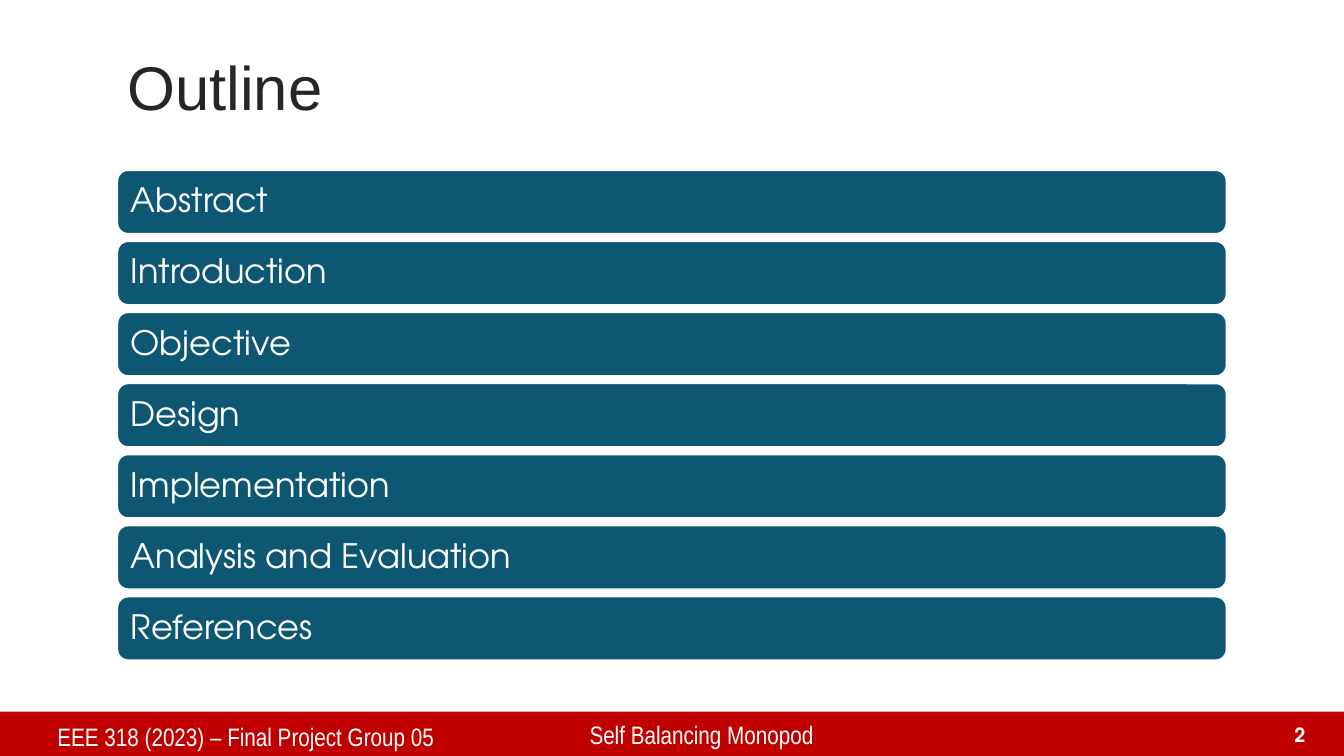
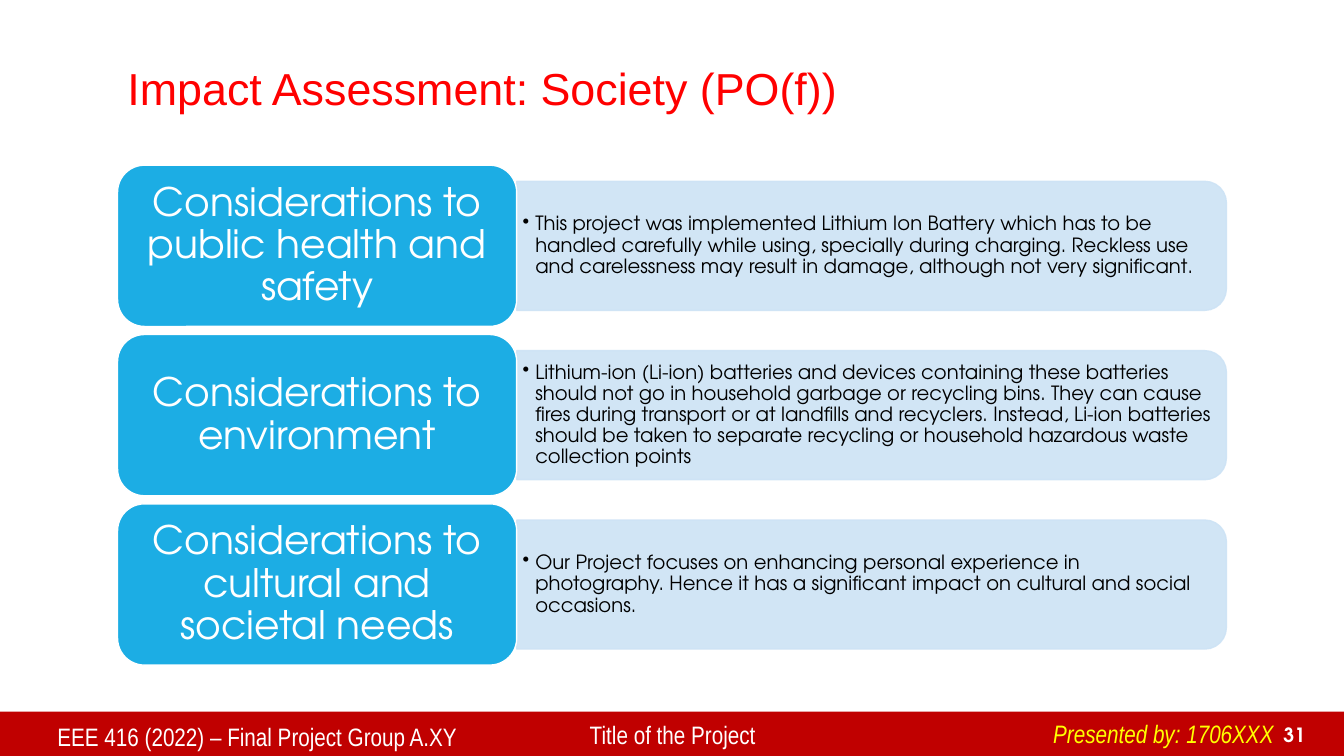
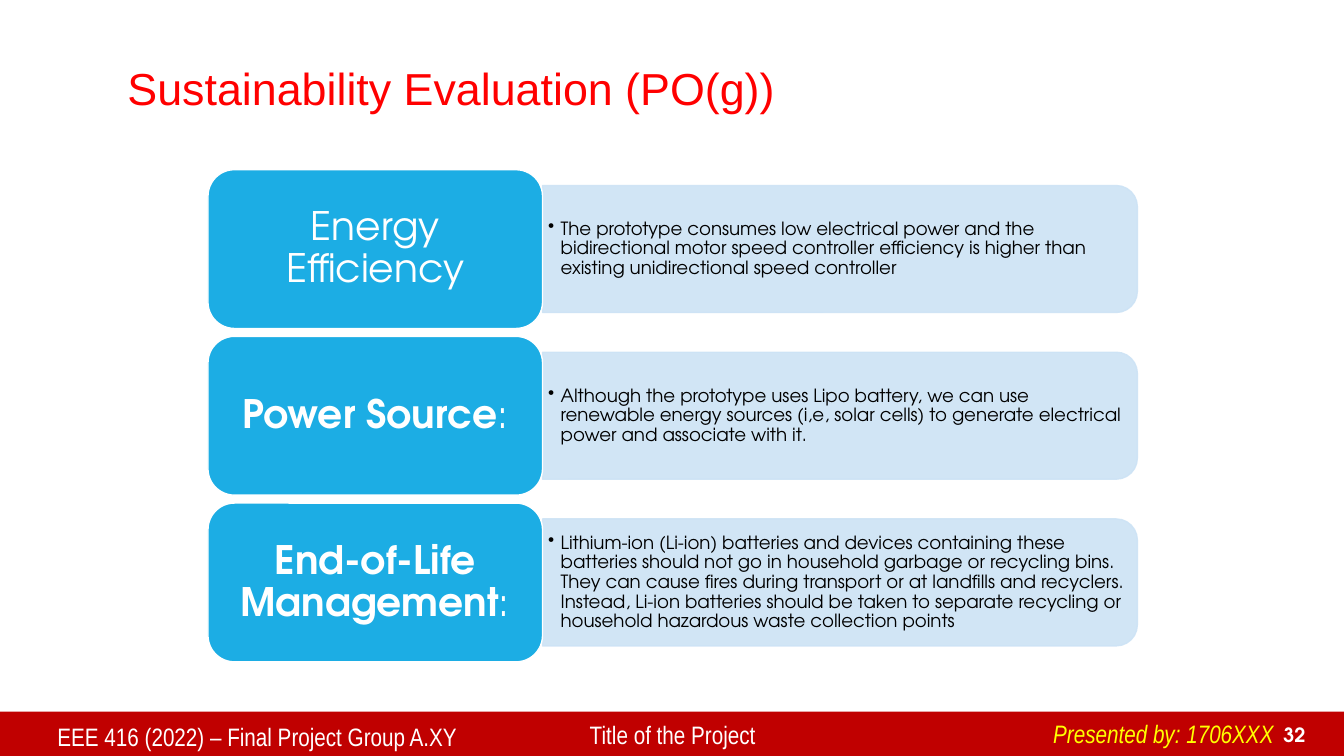
"""Build three project slides: an outline and two assessment overviews."""
import dataclasses

import lxml.etree
import pptx
import pptx.dml.color
import pptx.enum.shapes
import pptx.enum.text
import pptx.oxml.ns
import pptx.util

Pt = pptx.util.Pt
SHAPE = pptx.enum.shapes.MSO_SHAPE
ALIGN = pptx.enum.text.PP_ALIGN
ANCHOR = pptx.enum.text.MSO_ANCHOR


@dataclasses.dataclass(frozen=True)
class Theme:
    """Colours, fonts and type sizes of the deck."""

    white: str = "FFFFFF"
    black: str = "000000"
    band: str = "C00000"
    bar: str = "0E5772"
    card: str = "1CADE4"
    panel: str = "CDE3F5"
    title: str = "262626"
    alert: str = "FF0000"
    presenter: str = "FFFF00"
    title_font: str = "Arial"
    footer_font: str = "Arial Narrow"
    body_font: str = "TeX Gyre Adventor"
    title_size: int = 44
    alert_size: int = 32
    card_size: int = 28
    bar_size: int = 24
    footer_size: int = 18
    number_size: int = 14
    panel_alpha: int = 90
    spacing: float = 0.9
    margin_ratio: float = 0.3


THEME = Theme()
PAGE_WIDTH, PAGE_HEIGHT = 960, 540
CONTENT_LEFT, CONTENT_WIDTH = 84, 792

OUTLINE = [
    "Abstract", "Introduction", "Objective", "Design",
    "Implementation", "Analysis and Evaluation", "References",
]
BATTERY_DISPOSAL = (
    "Lithium-ion (Li-ion) batteries and devices containing these batteries "
    "should not go in household garbage or recycling bins. They can cause "
    "fires during transport or at landfills and recyclers. Instead, Li-ion "
    "batteries should be taken to separate recycling or household hazardous "
    "waste collection points"
)
SOCIETY = [
    ([("Considerations to public health and safety", False)],
     "This project was implemented Lithium Ion Battery which has to be handled "
     "carefully while using, specially during charging. Reckless use and "
     "carelessness may result in damage, although not very significant."),
    ([("Considerations to environment", False)], BATTERY_DISPOSAL),
    ([("Considerations to cultural and societal needs", False)],
     "Our Project focuses on enhancing personal experience in photography. "
     "Hence it has a significant impact on cultural and social occasions."),
]
SUSTAINABILITY = [
    ([("Energy Efficiency", False)],
     "The prototype consumes low electrical power and the bidirectional motor "
     "speed controller efficiency is higher than existing unidirectional "
     "speed controller"),
    ([("Power Source", True), (":", False)],
     "Although the prototype uses Lipo battery, we can use renewable energy "
     "sources (i,e, solar cells) to generate electrical power and associate "
     "with it."),
    ([("End-of-Life Management", True), (":", False)], BATTERY_DISPOSAL),
]
COURSE = "EEE 416 (2022) – Final Project Group A.XY"
PROJECT = "Title of the Project"
PRESENTER = "Presented by: 1706XXX"


def rgb(value):
    """Return a colour object for a hex value."""
    return pptx.dml.color.RGBColor.from_string(value)


def apply(target, values):
    """Set attributes of an object from a dict."""
    for name, value in values.items():
        setattr(target, name, value)


def margins(across, down):
    """Return the four text frame margins."""
    return {"margin_left": Pt(across), "margin_right": Pt(across),
            "margin_top": Pt(down), "margin_bottom": Pt(down)}


def write(box, spans, size, color, font=THEME.body_font, frame=None, para=None,
          italic=False, bullet=False):
    """Fill a box with one paragraph made of (text, bold) spans."""
    apply(box.text_frame, {"word_wrap": True, **(frame or {})})
    paragraph = box.text_frame.paragraphs[0]
    if bullet:
        properties = paragraph._p.get_or_add_pPr()
        properties.set("marL", str(Pt(9)))
        properties.set("indent", str(-Pt(9)))
        mark = lxml.etree.SubElement(properties, pptx.oxml.ns.qn("a:buChar"))
        mark.set("char", "•")
    apply(paragraph, {"alignment": ALIGN.LEFT, **(para or {})})
    for text, bold in spans:
        span = paragraph.add_run()
        span.text = text
        apply(span.font, {"name": font, "size": Pt(size), "bold": bold,
                          "italic": italic})
        span.font.color.rgb = rgb(color)


def add_label(page, place, text, size, color, bold=False, **options):
    """Add a text box with one line of wording."""
    box = page.shapes.add_textbox(*map(Pt, place))
    write(box, [(text, bold)], size, color, **options)


def add_block(page, kind, place, fill, line=None):
    """Add a filled preset shape, outlined if a line colour is given."""
    block = page.shapes.add_shape(kind, *map(Pt, place))
    block.shadow.inherit = False
    block.fill.solid()
    block.fill.fore_color.rgb = rgb(fill)
    if line:
        block.line.color.rgb = rgb(line)
        block.line.width = Pt(1)
    else:
        block.line.fill.background()
    return block


def add_page(deck, title, number, course, project, presenter=None,
             size=THEME.alert_size, color=THEME.alert):
    """Add a page with title, footer band and footer wording."""
    page = deck.slides.add_slide(deck.slide_layouts[6])
    add_block(page, SHAPE.RECTANGLE, (0, 508.3, PAGE_WIDTH, 31.7), THEME.band)
    add_label(page, (CONTENT_LEFT, 36, CONTENT_WIDTH, 57.6), title, size, color,
              font=THEME.title_font, para={"line_spacing": THEME.spacing},
              frame={"vertical_anchor": ANCHOR.MIDDLE})
    add_label(page, (898.5, 511.9, 41, 24.5), str(number), THEME.number_size,
              THEME.white, bold=True, para={"alignment": ALIGN.RIGHT},
              frame={"vertical_anchor": ANCHOR.BOTTOM})
    footer = {"size": THEME.footer_size, "font": THEME.footer_font}
    add_label(page, (34, 511.9, 380, 29), course, color=THEME.white, **footer)
    add_label(page, (414, 510.5, 320, 29), project, color=THEME.white, **footer)
    if presenter:
        add_label(page, (745.2, 509.8, 178, 29), presenter,
                  color=THEME.presenter, italic=True, **footer)
    return page


def add_bars(page, entries, top=121.7, height=45.2, pitch=50.76):
    """Stack one rounded bar per outline entry."""
    margin = THEME.bar_size * THEME.margin_ratio
    for index, entry in enumerate(entries):
        place = (CONTENT_LEFT, top + index * pitch, CONTENT_WIDTH, height)
        bar = add_block(page, SHAPE.ROUNDED_RECTANGLE, place, THEME.bar, THEME.white)
        write(bar, [(entry, False)], THEME.bar_size, THEME.white,
              frame={"vertical_anchor": ANCHOR.MIDDLE, **margins(margin, margin)},
              para={"line_spacing": THEME.spacing})


def add_panel(page, left, top, width, height, text, size):
    """Add a pale panel, rounded on the right, with a bulleted text."""
    place = (left + (width - height) / 2, top + (height - width) / 2, height, width)
    panel = add_block(page, SHAPE.ROUND_2_SAME_RECTANGLE, place, THEME.panel, THEME.panel)
    panel.rotation = 90
    for color in panel._element.spPr.iter(pptx.oxml.ns.qn("a:srgbClr")):
        alpha = lxml.etree.SubElement(color, pptx.oxml.ns.qn("a:alpha"))
        alpha.set("val", str(THEME.panel_alpha * 1000))
    margin = size * THEME.margin_ratio
    add_label(page, (left, top + 4.5, width - 4.5, height - 9), text, size,
              THEME.black, bullet=True, para={"line_spacing": THEME.spacing},
              frame={"vertical_anchor": ANCHOR.MIDDLE, **margins(margin, margin / 2)})


def add_cards(page, rows, left, top, width, height, text_size):
    """Stack rows of a heading card joined to a text panel."""
    card_width = 0.36 * width
    margin = THEME.card_size * THEME.margin_ratio
    for index, (heading, text) in enumerate(rows):
        row_top = top + index * 1.05 * height
        add_panel(page, left + card_width, row_top + 0.1 * height,
                  width - card_width, 0.8 * height, text, text_size)
        card = add_block(page, SHAPE.ROUNDED_RECTANGLE,
                         (left, row_top, card_width, height), THEME.card, THEME.white)
        write(card, heading, THEME.card_size, THEME.white,
              frame={"vertical_anchor": ANCHOR.MIDDLE, **margins(margin, margin / 2)},
              para={"alignment": ALIGN.CENTER, "line_spacing": THEME.spacing})


def main():
    """Build and save the deck."""
    deck = pptx.Presentation()
    apply(deck, {"slide_width": Pt(PAGE_WIDTH), "slide_height": Pt(PAGE_HEIGHT)})
    page = add_page(deck, "Outline", 2, "EEE 318 (2023) – Final Project Group 05",
                    "Self Balancing Monopod", size=THEME.title_size, color=THEME.title)
    add_bars(page, OUTLINE)
    page = add_page(deck, "Impact Assessment: Society (PO(f))", 31,
                    COURSE, PROJECT, PRESENTER)
    add_cards(page, SOCIETY, CONTENT_LEFT, 118, CONTENT_WIDTH, 115.2, text_size=14)
    page = add_page(deck, "Sustainability Evaluation (PO(g))", 32,
                    COURSE, PROJECT, PRESENTER)
    add_cards(page, SUSTAINABILITY, 148.6, 121.2, 663.8, 113.4, text_size=13)
    deck.save("out.pptx")


if __name__ == "__main__":
    main()
